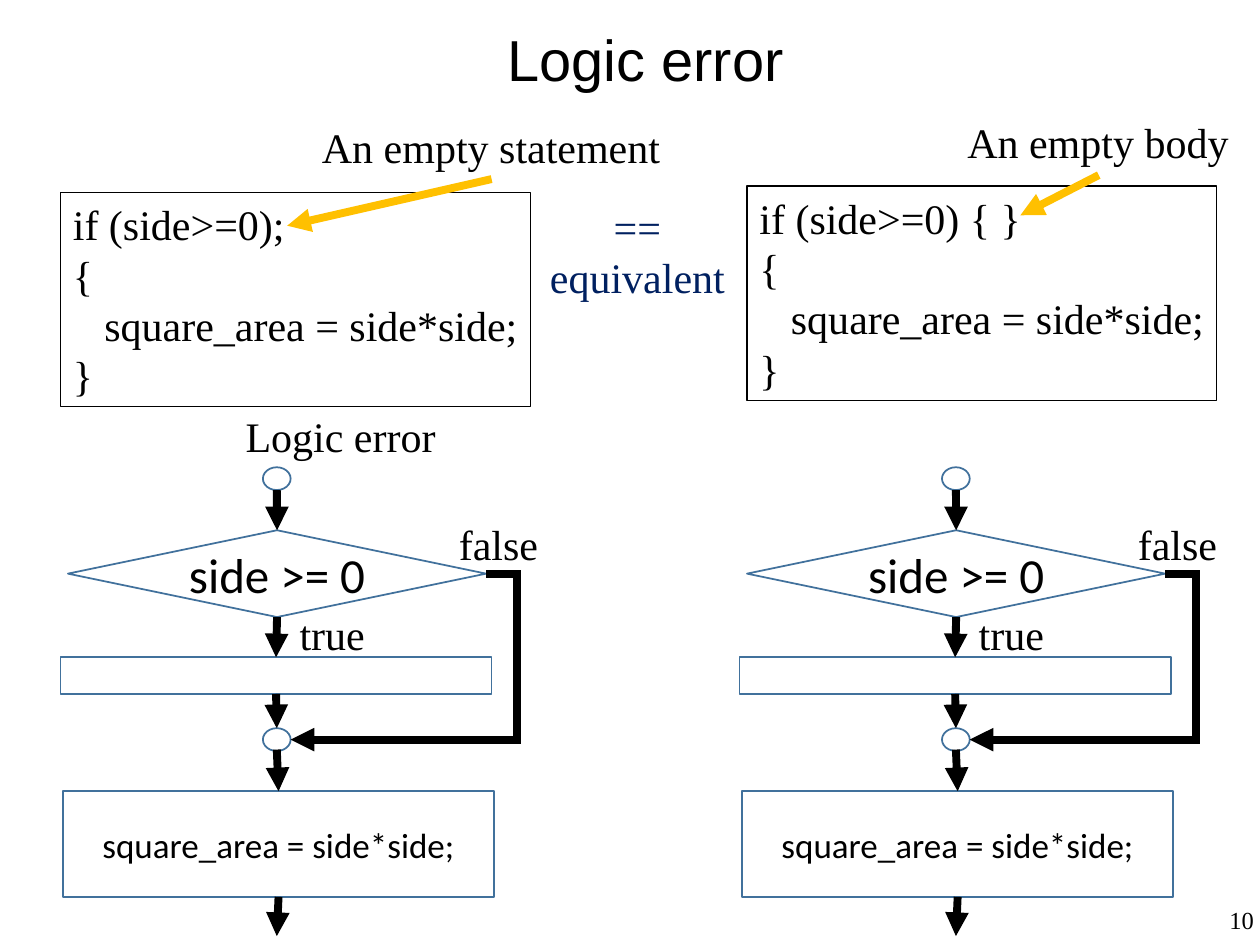
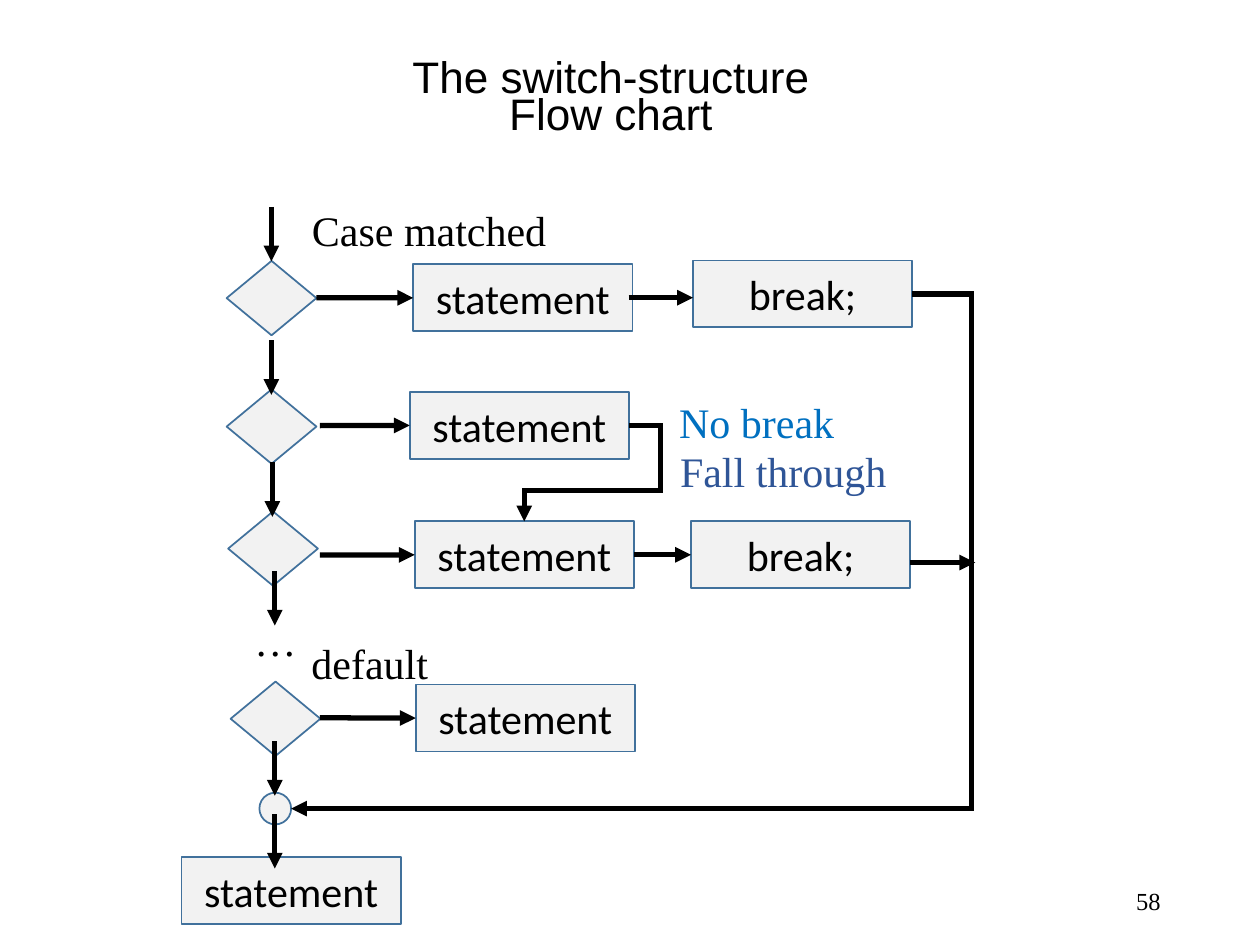
from lxml import etree
from pptx import Presentation
from pptx.dml.color import RGBColor
from pptx.enum.shapes import MSO_CONNECTOR as LINK, MSO_SHAPE as SHAPE
from pptx.enum.text import MSO_ANCHOR as ANCHOR, MSO_AUTO_SIZE as FIT, PP_ALIGN as ALIGN
from pptx.oxml.ns import qn
from pptx.util import Cm, Pt

COLORS = {
    "ink": "000000", "white": "FFFFFF", "grey": "F2F2F2", "outline": "41719C",
    "gold": "FFC000", "navy": "002060", "sky": "0070C0", "blue": "2F5597",
}
SERIF, SANS, BODY = "Times New Roman", "Arial", "Calibri"
TOP, LEFT, BOTTOM, RIGHT = range(4)
SITES = {TOP: (0.5, 0), LEFT: (0, 0.5), BOTTOM: (0.5, 1), RIGHT: (1, 0.5)}
STATEMENT, BREAK = "statement", "break;"


def color(name):
    """Return the named colour."""
    return RGBColor.from_string(COLORS[name])


def write(box, text, font, size, ink="ink", align=ALIGN.LEFT, spacing=None):
    """Fill a box with text and format every run."""
    box.text_frame.text = text
    for para in box.text_frame.paragraphs:
        para.alignment = align
        para.line_spacing = spacing
        for span in para.runs:
            span.font.name = font
            span.font.size = Pt(size)
            span.font.color.rgb = color(ink)


def text_box(page, left, top, width, height):
    """Add an empty text box, vertically centred, that wraps."""
    box = page.shapes.add_textbox(Cm(left), Cm(top), Cm(width), Cm(height))
    box.text_frame.word_wrap = True
    box.text_frame.vertical_anchor = ANCHOR.MIDDLE
    return box


def title(page, text, left, top, width, height, size, spacing):
    """Add the slide title."""
    box = text_box(page, left, top, width, height)
    write(box, text, SANS, size, align=ALIGN.CENTER, spacing=spacing)


def page_number(page, number, left, top):
    """Add the page number."""
    box = text_box(page, left, top, 5.72, 1.02)
    write(box, number, SERIF, 14, align=ALIGN.RIGHT)


def label(page, text, left, top, width, height=1.28, ink="ink", align=ALIGN.LEFT, wrap=False):
    """Add a serif label that fits its text."""
    box = text_box(page, left, top, width, height)
    box.text_frame.vertical_anchor = ANCHOR.TOP
    box.text_frame.word_wrap = wrap
    box.text_frame.auto_size = FIT.SHAPE_TO_FIT_TEXT
    write(box, text, SERIF, 24, ink, align)
    return box


def code_box(page, condition, left, top):
    """Add a framed listing that opens with the given condition."""
    code = f"{condition}\n{{\n   square_area = side*side;\n}}"
    box = label(page, code, left, top, 9.47, 4.32)
    box.line.color.rgb = color("ink")
    box.line.width = Pt(0.75)


def node(page, kind, left, top, width, height, fill, text="", size=24):
    """Add a flow chart shape."""
    box = page.shapes.add_shape(kind, Cm(left), Cm(top), Cm(width), Cm(height))
    box.shadow.inherit = False
    box.fill.solid()
    box.fill.fore_color.rgb = color(fill)
    box.line.color.rgb = color("outline")
    box.line.width = Pt(1)
    if text:
        box.text_frame.vertical_anchor = ANCHOR.MIDDLE
        write(box, text, BODY, size, align=ALIGN.CENTER)
    return box


def is_joined(place):
    """Tell whether a place is a side of a shape and not a point."""
    return not isinstance(place[0], (int, float))


def locate(place):
    """Return the position of a point or of a side of a shape."""
    if not is_joined(place):
        return Cm(place[0]), Cm(place[1])
    box, site = place
    across, down = SITES[site]
    return int(box.left + box.width * across), int(box.top + box.height * down)


def arrow(page, start, finish, width, ink="ink", bends=()):
    """Add an arrow, straight or with the given bend positions."""
    kind = LINK.ELBOW if bends else LINK.STRAIGHT
    line = page.shapes.add_connector(kind, *locate(start), *locate(finish))
    line.line.color.rgb = color(ink)
    line.line.width = Pt(width)
    if bends:
        geometry = line._element.spPr.find(qn("a:prstGeom"))
        geometry.set("prst", f"bentConnector{len(bends) + 2}")
        guides = geometry.find(qn("a:avLst"))
        if guides is None:
            guides = etree.SubElement(geometry, qn("a:avLst"))
        for order, bend in enumerate(bends, 1):
            guide = etree.SubElement(guides, qn("a:gd"))
            guide.set("name", f"adj{order}")
            guide.set("fmla", f"val {round(bend * 100000)}")
    else:
        if is_joined(start):
            line.begin_connect(*start)
        if is_joined(finish):
            line.end_connect(*finish)
    outline = line._element.spPr.find(qn("a:ln"))
    etree.SubElement(outline, qn("a:miter")).set("lim", "800000")
    etree.SubElement(outline, qn("a:tailEnd")).set("type", "triangle")
    etree.SubElement(line._element.spPr, qn("a:effectLst"))


def if_flow(page, shift):
    """Draw the flow chart of an if with an empty body."""
    def place(kind, left, top, width, height, text="", size=24):
        return node(page, kind, left + shift, top, width, height, "white", text, size)

    axis = 5.58 + shift
    test = place(SHAPE.FLOWCHART_DECISION, 1.37, 10.69, 8.43, 1.75, "side >= 0", 28)
    empty = place(SHAPE.FLOWCHART_PROCESS, 1.22, 13.25, 8.69, 0.74)
    for top in (9.42, 14.68):
        place(SHAPE.FLOWCHART_CONNECTOR, 5.3, top, 0.56, 0.46)
    area = place(SHAPE.FLOWCHART_PROCESS, 1.27, 15.95, 8.69, 2.13, "square_area = side*side;", 20)
    steps = [
        ((axis, 9.88), (test, TOP)),
        ((test, BOTTOM), (empty, TOP)),
        ((empty, BOTTOM), (axis, 14.68)),
        ((axis, 15.11), (area, TOP)),
        ((area, BOTTOM), (axis, 18.87)),
    ]
    for start, finish in steps:
        arrow(page, start, finish, 4.5)
    arrow(page, (test, RIGHT), (5.86 + shift, 14.91), 4.5, bends=(-0.16,))
    label(page, "false", 9 + shift, 10.32, 2.11)
    label(page, "true", 5.79 + shift, 12.14, 1.83)


def logic_error_page(page):
    """Compare an empty statement with an empty body."""
    title(page, "Logic error", 1.9, 0, 22.23, 2.54, 33, 0.9)
    page_number(page, "10", 19.81, 18.03)
    code_box(page, "if (side>=0);", 1.22, 3.88)
    code_box(page, "if (side>=0) { }", 15.06, 3.75)
    label(page, "An empty statement", 6.24, 2.32, 7.32)
    label(page, "An empty body", 19.25, 2.23, 5.77)
    arrow(page, (9.91, 3.61), (5.79, 4.55), 4.5, "gold")
    arrow(page, (22.15, 3.53), (20.57, 4.34), 4.5, "gold")
    label(page, "Logic error", 4.7, 8.16, 4.34)
    label(page, "==\nequivalent", 10.83, 3.93, 4.04, 2.29, "navy", ALIGN.CENTER)
    for shift in (0, 13.69):
        if_flow(page, shift)


def switch_page(page):
    """Draw the flow chart of a switch."""
    def process(text, left, top):
        return node(page, SHAPE.FLOWCHART_PROCESS, left, top, 4.42, 1.35, "grey", text)

    page_number(page, "58", 17.93, 17.65)
    title(page, "The switch-structure\nFlow chart", 1.52, 1.09, 21.59, 1.9, 25.2, 0.7)
    for left, top in ((4.57, 5.26), (4.57, 7.85), (4.6, 10.31), (4.65, 13.74)):
        node(page, SHAPE.FLOWCHART_DECISION, left, top, 1.81, 1.5, "grey")
    node(page, SHAPE.FLOWCHART_CONNECTOR, 5.23, 15.98, 0.64, 0.64, "grey")
    process(STATEMENT, 3.66, 17.28)
    matched, falling, caught, default = [
        process(STATEMENT, left, top)
        for left, top in ((8.33, 5.33), (8.26, 7.9), (8.36, 10.51), (8.38, 13.8))
    ]
    first_break = process(BREAK, 13.97, 5.25)
    second_break = process(BREAK, 13.93, 10.51)

    for x, y in ((5.47, 4.17), (5.47, 6.86), (5.49, 9.32), (5.54, 11.51), (5.54, 14.94), (5.54, 16.41)):
        arrow(page, (x, y), (x, y + 1.1), 3)
    for x, y, target in ((6.38, 6, matched), (6.45, 8.58, falling), (6.45, 11.19, caught), (6.45, 14.47, default)):
        arrow(page, (x, y), (target, LEFT), 3)
    arrow(page, (12.67, 6), (13.97, 6), 3)
    arrow(page, (caught, RIGHT), (second_break, LEFT), 3)
    arrow(page, (18.34, 11.34), (19.66, 11.34), 3)
    arrow(page, (first_break, RIGHT), (5.87, 16.3), 3, bends=(-0.095,))
    arrow(page, (falling, RIGHT), (caught, TOP), 3, bends=(-0.3, 0.68))

    label(page, "No break", 13.44, 7.86, 3.63, ink="sky")
    label(page, "Fall through", 13.46, 8.85, 7.11, ink="blue", wrap=True)
    label(page, "default", 6.03, 12.73, 3)
    label(page, "Case matched", 6.04, 3.99, 5.23)
    label(page, "…", 4.88, 12.27, 1.35)


def main():
    """Build and save the deck."""
    deck = Presentation()
    deck.slide_width, deck.slide_height = Cm(25.4), Cm(19.05)
    for draw in (logic_error_page, switch_page):
        draw(deck.slides.add_slide(deck.slide_layouts[6]))
    deck.save("out.pptx")


if __name__ == "__main__":
    main()
